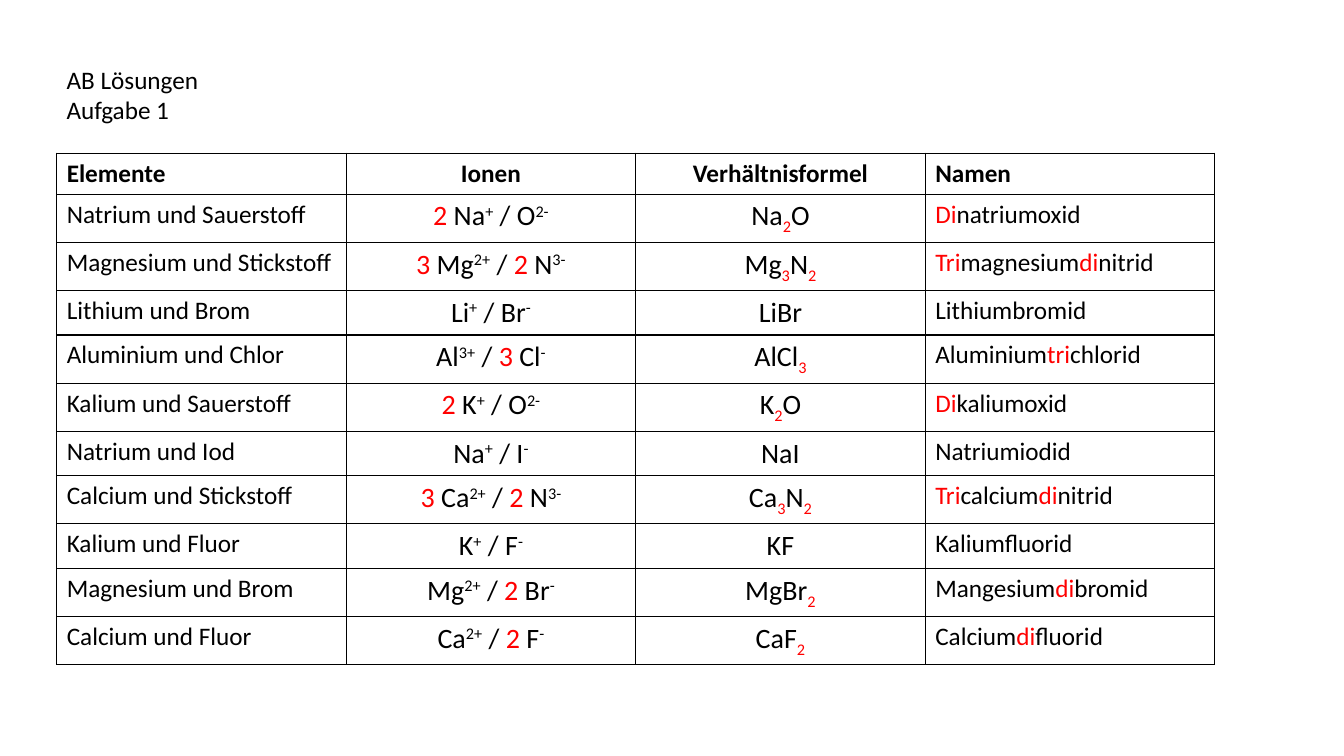
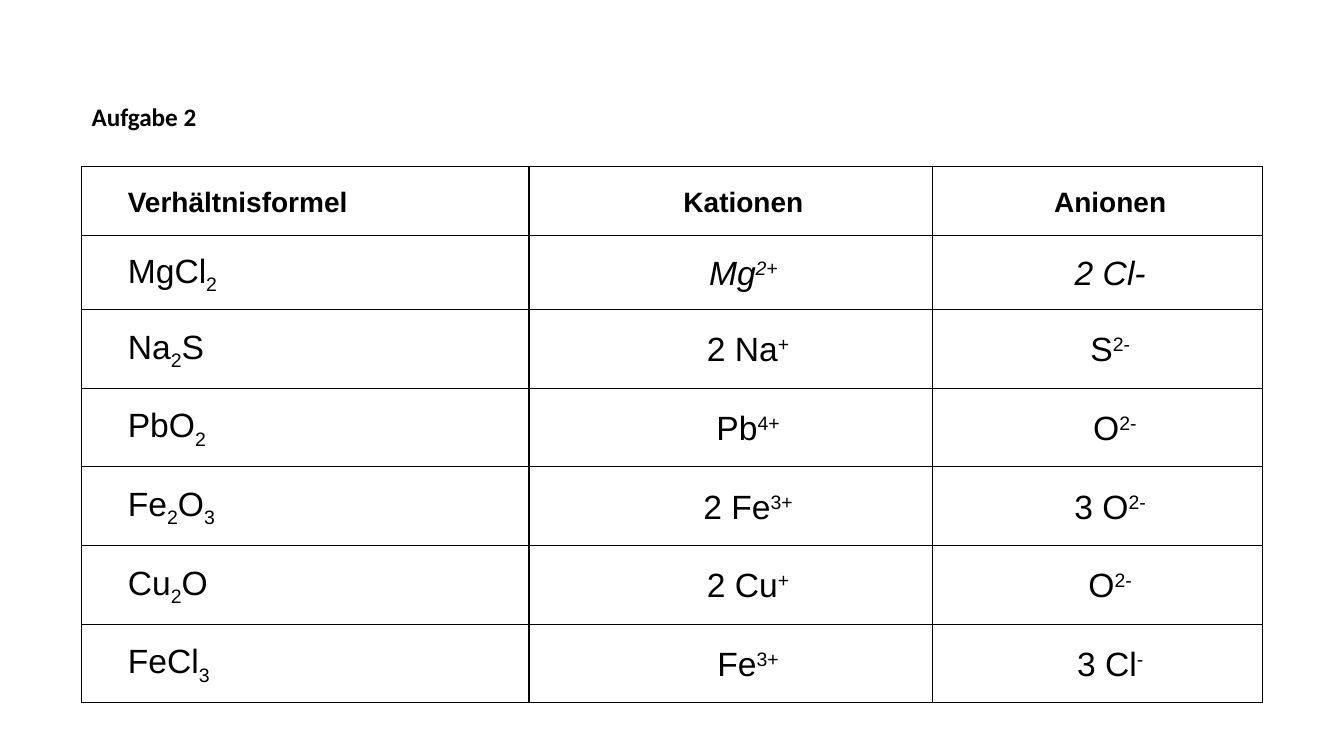
from dataclasses import dataclass

from lxml.etree import SubElement
from pptx import Presentation
from pptx.dml.color import RGBColor
from pptx.enum.text import MSO_ANCHOR as Anchor
from pptx.enum.text import MSO_AUTO_SIZE as AutoSize
from pptx.enum.text import PP_ALIGN as Align
from pptx.oxml.ns import qn
from pptx.util import Pt

BLACK = "000000"
RED = "FF0000"
MARKS = "*^_~"
WIDE_SPACE = " "
SUPERSCRIPT = "30000"
SUBSCRIPT = "-25000"


@dataclass
class TableStyle:
    font: str
    header_size: float
    body_sizes: list
    alignments: list
    anchor: Anchor = Anchor.TOP
    margins: tuple = (7.2, 3.6, 7.2, 3.6)


COMPOUND_STYLE = TableStyle(
    "Calibri", 18, [18, 20, 20, 18],
    [Align.LEFT, Align.CENTER, Align.CENTER, Align.LEFT],
)
ION_STYLE = TableStyle(
    "Arial", 20, [24, 24, 24],
    [Align.LEFT, Align.CENTER, Align.CENTER],
    Anchor.MIDDLE, (33, 2, 15, 0),
)

COMPOUND_HEADER = ["Elemente", "Ionen", "Verhältnisformel", "Namen"]
COMPOUNDS = [
    ("Natrium und Sauerstoff", "*2| Na|^+", "O|^2-", "Na|*_2|O", "*Di|natriumoxid"),
    ("Magnesium und Stickstoff", "*3| Mg|^2+", "*2| N|^3-", "Mg|*_3|N|*_2",
     "*Tri|magnesium|*di|nitrid"),
    ("Lithium und Brom", "Li|^+", "Br|^-", "LiBr", "Lithiumbromid"),
    ("Aluminium und Chlor", "Al|^3+", "*3| Cl|^-", "AlCl|*_3", "Aluminium|*tri|chlorid"),
    ("Kalium und Sauerstoff", "*2| K|^+", "O|^2-", "K|*_2|O", "*Di|kaliumoxid"),
    ("Natrium und Iod", "Na|^+", "I|^-", "NaI", "Natriumiodid"),
    ("Calcium und Stickstoff", "*3| Ca|^2+", "*2| N|^3-", "Ca|*_3|N|*_2",
     "*Tri|calcium|*di|nitrid"),
    ("Kalium und Fluor", "K|^+", "F|^-", "KF", "Kaliumfluorid"),
    ("Magnesium und Brom", "Mg|^2+", "*2| Br|^-", "MgBr|*_2", "Mangesium|*di|bromid"),
    ("Calcium und Fluor", "Ca|^2+", "*2| F|^-", "CaF|*_2", "Calcium|*di|fluorid"),
]

ION_HEADER = ["Verhältnisformel", "Kationen", "Anionen"]
IONS = [
    ("MgCl|_2", "~Mg|~^2+", "~2 Cl-"),
    ("Na|_2|S", " 2 Na|^+", "S|^2-"),
    ("PbO|_2", " Pb|^4+", " O|^2-"),
    ("Fe|_2|O|_3", " 2 Fe|^3+", "3 O|^2-"),
    ("Cu|_2|O", " 2 Cu|^+", "O|^2-"),
    ("FeCl|_3", " Fe|^3+", "3 Cl|^-"),
]


def color(value):
    return RGBColor.from_string(value)


def add_spans(para, text, font, size, bold=False):
    for piece in text.split("|"):
        content = piece.lstrip(MARKS)
        marks = piece[:len(piece) - len(content)]
        span = para.add_run()
        span.text = content
        span.font.name = font
        span.font.size = Pt(size)
        span.font.bold = bold
        span.font.italic = "~" in marks
        span.font.color.rgb = color(RED if "*" in marks else BLACK)
        if "^" in marks:
            span.font._element.set("baseline", SUPERSCRIPT)
        elif "_" in marks:
            span.font._element.set("baseline", SUBSCRIPT)


def add_heading(page, left, top, width, height, lines, bold=False):
    box = page.shapes.add_textbox(Pt(left), Pt(top), Pt(width), Pt(height))
    frame = box.text_frame
    frame.word_wrap = True
    frame.auto_size = AutoSize.SHAPE_TO_FIT_TEXT
    for index, line in enumerate(lines):
        para = frame.add_paragraph() if index else frame.paragraphs[0]
        add_spans(para, line, "Calibri", 18, bold)


def add_borders(cell):
    properties = cell._tc.get_or_add_tcPr()
    for side in ("lnL", "lnR", "lnT", "lnB"):
        line = SubElement(properties, qn(f"a:{side}"), w=str(Pt(1)))
        fill = SubElement(line, qn("a:solidFill"))
        SubElement(fill, qn("a:srgbClr"), val=BLACK)


def fill_cell(cell, text, style, column, is_header):
    add_borders(cell)
    cell.fill.background()
    cell.vertical_anchor = style.anchor
    left, top, right, bottom = style.margins
    cell.margin_left, cell.margin_top = Pt(left), Pt(top)
    cell.margin_right, cell.margin_bottom = Pt(right), Pt(bottom)
    para = cell.text_frame.paragraphs[0]
    para.alignment = style.alignments[column]
    size = style.header_size if is_header else style.body_sizes[column]
    add_spans(para, text, style.font, size, is_header)


def add_grid(page, left, top, widths, heights, rows, style):
    frame = page.shapes.add_table(
        len(heights), len(widths), Pt(left), Pt(top), Pt(sum(widths)), Pt(sum(heights))
    )
    table = frame.table
    table.horz_banding = False
    for column, width in zip(table.columns, widths):
        column.width = Pt(width)
    for row, height in zip(table.rows, heights):
        row.height = Pt(height)
    for row_index, texts in enumerate(rows):
        for column_index, text in enumerate(texts):
            cell = table.cell(row_index, column_index)
            fill_cell(cell, text, style, column_index, row_index == 0)


def compound_row(elements, cation, anion, formula, name):
    ions = f"{cation}|{WIDE_SPACE}/{WIDE_SPACE}|{anion}"
    return [elements, ions, formula, name]


def add_compound_page(deck):
    page = deck.slides.add_slide(deck.slide_layouts[6])
    rows = [COMPOUND_HEADER] + [compound_row(*compound) for compound in COMPOUNDS]
    add_grid(page, 40.5, 109.5, [206.8] * 4, [29.2] * len(rows), rows, COMPOUND_STYLE)
    add_heading(page, 40.5, 42.5, 349, 51, ["AB Lösungen", "Aufgabe 1"])


def add_ion_page(deck):
    page = deck.slides.add_slide(deck.slide_layouts[6])
    rows = [ION_HEADER] + IONS
    heights = [49.7, 52.6] + [56.2] * (len(rows) - 2)
    add_grid(page, 58.3, 118.8, [319.5, 288.5, 235.5], heights, rows, ION_STYLE)
    add_heading(page, 58.3, 68.5, 261, 29.5, ["Aufgabe 2"], bold=True)


def main():
    deck = Presentation()
    deck.slide_width, deck.slide_height = Pt(960), Pt(540)
    add_compound_page(deck)
    add_ion_page(deck)
    deck.save("out.pptx")


if __name__ == "__main__":
    main()
